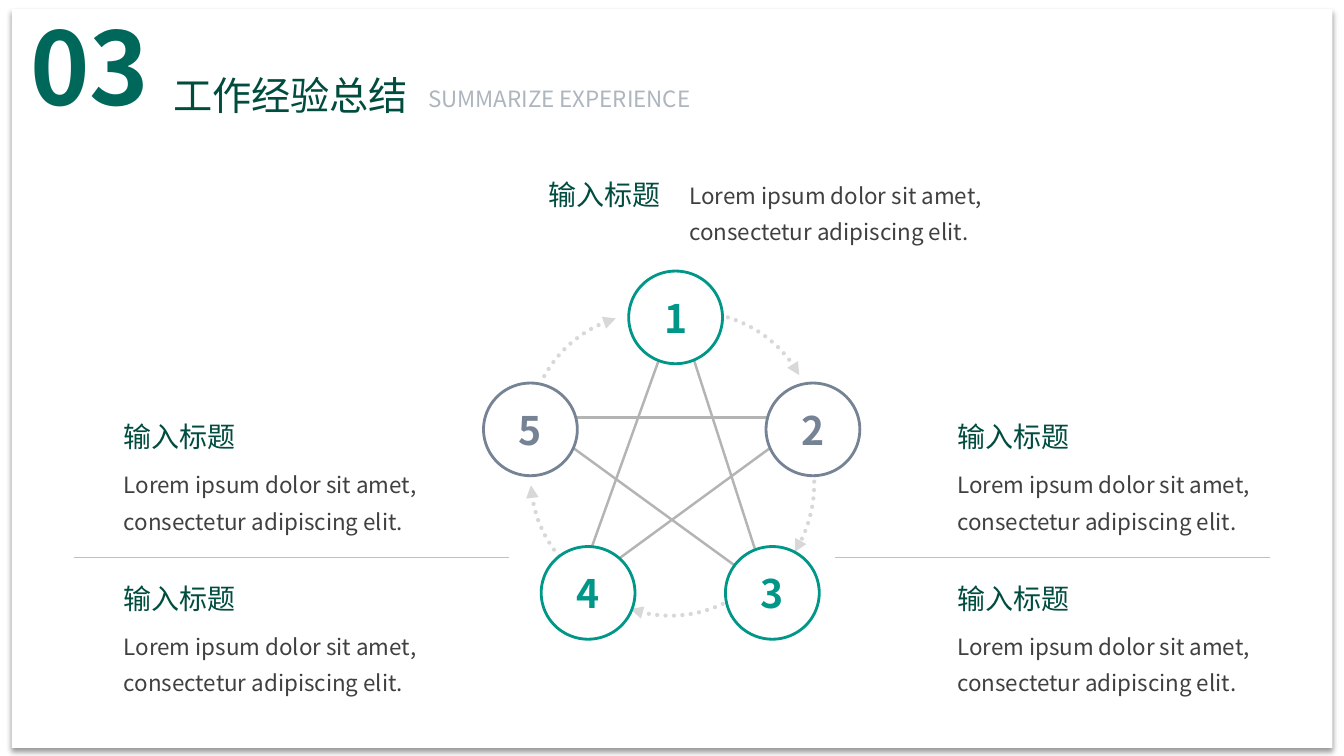
"""Build the work experience summary slide with a five-step star cycle."""
from math import cos, radians, sin

from lxml import etree
from pptx import Presentation
from pptx.dml.color import RGBColor
from pptx.enum.dml import MSO_LINE
from pptx.enum.shapes import MSO_CONNECTOR, MSO_SHAPE
from pptx.enum.text import MSO_ANCHOR, PP_ALIGN
from pptx.oxml.ns import qn
from pptx.util import Pt

ROUND_DOT = MSO_LINE.ROUND_DOT
STRAIGHT = MSO_CONNECTOR.STRAIGHT
RECTANGLE, OVAL = MSO_SHAPE.RECTANGLE, MSO_SHAPE.OVAL
TOP, MIDDLE = MSO_ANCHOR.TOP, MSO_ANCHOR.MIDDLE
LEFT, CENTER = PP_ALIGN.LEFT, PP_ALIGN.CENTER
FONT = "Noto Sans CJK SC"
WHITE, TEAL, SLATE, DARK_GREEN = "FFFFFF", "009688", "768395", "004C3F"
HEADING = "输入标题"
BODY = "Lorem ipsum dolor sit amet, consectetur adipiscing elit."


def color(hex_string):
    return RGBColor.from_string(hex_string)


def write(shape, text, size, text_color, bold=False, align=LEFT, anchor=TOP, wrap=True, spacing=None):
    frame = shape.text_frame
    frame.word_wrap = wrap
    frame.vertical_anchor = anchor
    paragraph = frame.paragraphs[0]
    paragraph.alignment = align
    paragraph.line_spacing = spacing
    run = paragraph.add_run()
    run.text = text
    run.font.size = Pt(size)
    run.font.bold = bold
    run.font.name = FONT
    run.font.color.rgb = color(text_color)
    etree.SubElement(run.font._element, qn("a:ea"), typeface=FONT)


presentation = Presentation()
presentation.slide_width, presentation.slide_height = Pt(960), Pt(540)
slide = presentation.slides.add_slide(presentation.slide_layouts[5])
shapes = slide.shapes

panel = shapes.add_shape(RECTANGLE, Pt(8.6), Pt(6.5), Pt(943.2), Pt(527.8))
panel.fill.solid()
panel.fill.fore_color.rgb = color(WHITE)
panel.line.fill.background()
panel.shadow.inherit = False
effects = panel._element.spPr.find(qn("a:effectLst"))
shadow = etree.SubElement(effects, qn("a:outerShdw"), blurRad=str(Pt(4)), dist=str(Pt(3)),
                          dir="5400000", algn="t", rotWithShape="0")
shadow_color = etree.SubElement(shadow, qn("a:srgbClr"), val="000000")
etree.SubElement(shadow_color, qn("a:alpha"), val="40000")
shapes._spTree.insert(2, panel._element)

title = shapes.title
title.left, title.top, title.width, title.height = Pt(116.6), Pt(47.5), Pt(184.3), Pt(41)
write(title, "工作经验总结", 28, DARK_GREEN)

arcs = [
    (478.8, 352.1, 87.7, 64.7),
    (489.6, 345.6, 92, -12.2),
    (466.6, 341.3, 87.5, 132.3),
    (465.1, 311, 87.3, 209),
    (494.6, 310.3, 87.3, -73.2),
]
ARC_SWEEP, ARC_STEPS = 44.2, 16
for center_x, center_y, radius, start in arcs:
    angles = [radians(start + ARC_SWEEP * step / ARC_STEPS) for step in range(ARC_STEPS + 1)]
    points = [(Pt(center_x + radius * cos(angle)), Pt(center_y + radius * sin(angle))) for angle in angles]
    builder = shapes.build_freeform(*points[0])
    builder.add_line_segments(points[1:], close=False)
    arc = builder.convert_to_shape()
    arc.shadow.inherit = False
    arc.fill.background()
    arc.line.color.rgb = color("D8D8D8")
    arc.line.width = Pt(3)
    arc.line.dash_style = ROUND_DOT
    outline = arc._element.spPr.find(qn("a:ln"))
    outline.set("cap", "rnd")
    etree.SubElement(outline, qn("a:tailEnd"), type="triangle")

star_tips = [(483.8, 220.3), (580, 298.1), (548.6, 421.2), (411.8, 421.2), (379.4, 298.1)]
lines = [(*tip, *star_tips[(index + 2) % 5], "B4B4B4", 1.75) for index, tip in enumerate(star_tips)]
lines += [(left, 398.2, left + 310.7, 398.2, "BFBFBF", 0.25) for left in (53.1, 596.4)]
for start_x, start_y, end_x, end_y, line_color, width in lines:
    connector = shapes.add_connector(STRAIGHT, Pt(start_x), Pt(start_y), Pt(end_x), Pt(end_y))
    connector.line.color.rgb = color(line_color)
    connector.line.width = Pt(width)
    etree.SubElement(connector._element.spPr, qn("a:effectLst"))

steps = [
    (449.1, 193.6, TEAL),
    (547.2, 273.6, SLATE),
    (518.2, 390.4, TEAL),
    (386.6, 390.4, TEAL),
    (345.4, 273.6, SLATE),
]
for number, (left, top, step_color) in enumerate(steps, start=1):
    circle = shapes.add_shape(OVAL, Pt(left), Pt(top), Pt(67), Pt(66.2))
    circle.shadow.inherit = False
    circle.fill.solid()
    circle.fill.fore_color.rgb = color(WHITE)
    circle.line.color.rgb = color(step_color)
    circle.line.width = Pt(2)
    write(circle, str(number), 28, step_color, bold=True, align=CENTER, anchor=MIDDLE, wrap=False)

notes = [(384.5, 123.1, 485.3, 119.5)]
notes += [(left, top, left, top + 29.9) for left in (81.4, 676.8) for top in (296.4, 412)]
for heading_left, heading_top, body_left, body_top in notes:
    heading = shapes.add_textbox(Pt(heading_left), Pt(heading_top), Pt(161.3), Pt(31.7))
    write(heading, HEADING, 20, DARK_GREEN)
    body = shapes.add_textbox(Pt(body_left), Pt(body_top), Pt(271.4), Pt(57.6))
    write(body, BODY, 16, "404040", spacing=Pt(26))

section_number = shapes.add_textbox(Pt(14.4), Pt(0), Pt(115.9), Pt(94.3))
write(section_number, "03", 72, "00685B", bold=True)
subtitle = shapes.add_textbox(Pt(298.8), Pt(57.6), Pt(241.9), Pt(26.6))
write(subtitle, "SUMMARIZE EXPERIENCE", 16, "ADB5BF")

presentation.save("out.pptx")
